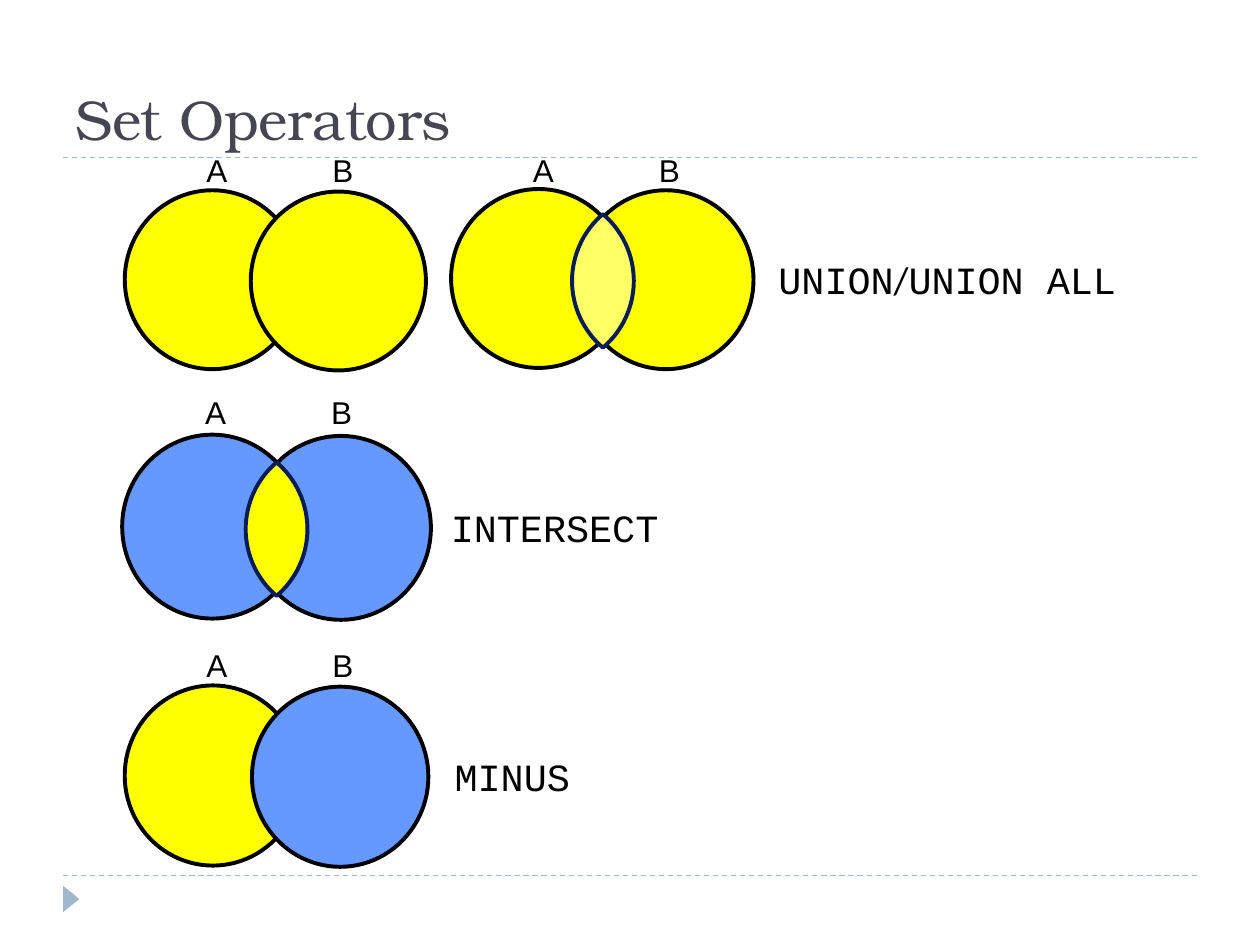
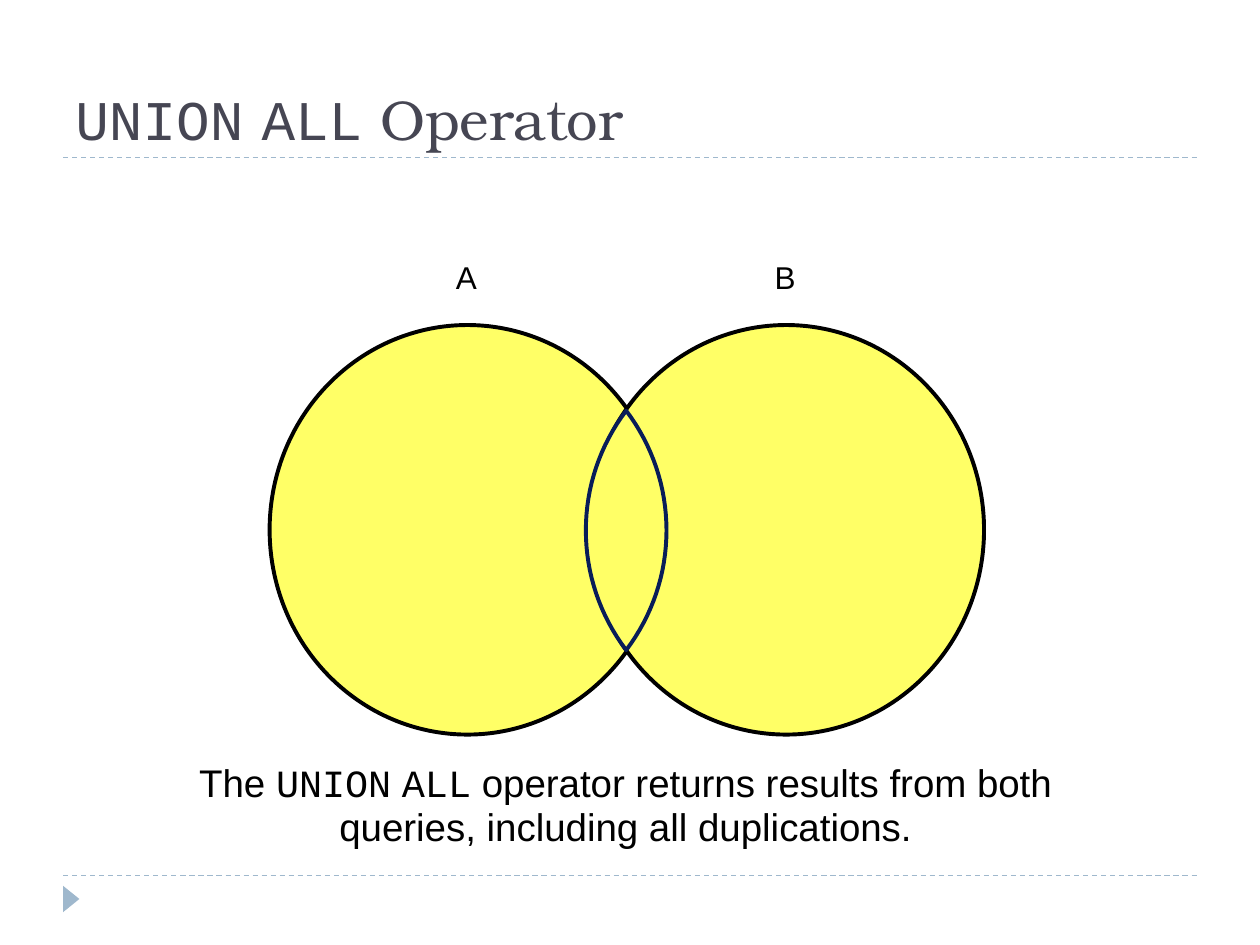
from math import asin, cos, hypot, sin

from lxml.etree import SubElement
from pptx import Presentation
from pptx.dml.color import RGBColor
from pptx.enum.dml import MSO_LINE_DASH_STYLE as Dash
from pptx.enum.shapes import MSO_CONNECTOR as Link, MSO_SHAPE as Shape
from pptx.enum.text import MSO_ANCHOR as Anchor, PP_ALIGN as Align
from pptx.oxml.ns import qn
from pptx.util import Pt

PX = 9144
SERIF, SANS, MONO, SLIM = "TeX Gyre Bonum", "Arial", "Courier New", "Calibri"
BLACK, INK, STEEL, NAVY = "000000", "464653", "9FB8CD", "081D58"
YELLOW, PALE, BLUE = "FFFF00", "FFFF66", "6699FF"


def color(code):
    return RGBColor.from_string(code)


class Deck:
    """Holds the shared style and the current slide; lengths are 1/100 inch px."""

    def __init__(self):
        self.prs = Presentation()
        self.prs.slide_width, self.prs.slide_height = 1000 * PX, 750 * PX
        self.shapes = None

    def slide(self, *title):
        self.shapes = self.prs.slides.add_slide(self.prs.slide_layouts[6]).shapes
        for y in (695, 125):
            self.rule(y)
        mark = self.shape(Shape.ISOSCELES_TRIANGLE, (46, 707, 21, 13), STEEL)
        mark.rotation = 90
        self.text((50, 25, 900, 100), title, 32, INK, anchor=Anchor.BOTTOM)

    def rule(self, y):
        line = self.shapes.add_connector(Link.STRAIGHT, 50 * PX, y * PX, 950 * PX, y * PX)
        line.line.color.rgb = color(STEEL)
        line.line.width = Pt(0.75)
        line.line.dash_style = Dash.DASH
        SubElement(line._element.spPr, qn("a:effectLst"))

    def paint(self, shape, fill, edge=None):
        shape.shadow.inherit = False
        shape.fill.solid()
        shape.fill.fore_color.rgb = color(fill)
        if edge:
            shape.line.color.rgb = color(edge)
            shape.line.width = Pt(2.25)
        else:
            shape.line.fill.background()
        return shape

    def shape(self, kind, box, fill, edge=None):
        return self.paint(self.shapes.add_shape(kind, *(n * PX for n in box)), fill, edge)

    def text(self, box, runs, size, ink=BLACK, anchor=Anchor.TOP, align=Align.LEFT, space=1.0):
        frame = self.shapes.add_textbox(*(n * PX for n in box)).text_frame
        frame.word_wrap = True
        frame.vertical_anchor = anchor
        para = frame.paragraphs[0]
        para.alignment = align
        para.line_spacing = space
        for words, face in runs:
            run = para.add_run()
            run.text = words
            run.font.name = face
            run.font.size = Pt(size)
            run.font.color.rgb = color(ink)

    def venn(self, box, shift, fills, tag, step):
        x, y, w, h = box
        right, down = shift
        for i, fill in enumerate(fills):
            self.shape(Shape.OVAL, (x + i * right, y + i * down, w, h), fill, BLACK)
        for i, name in enumerate("AB"):
            self.text((tag[0] + i * step, tag[1], 38, 40), [(name, SANS)], 18)

    def lens(self, box, fill, parts=32):
        x, y, w, h = box
        a, b = w / 2, h / 2
        radius = hypot(a, b) ** 2 / w
        half = asin(b / radius)
        turns = [half * (2 * i / parts - 1) for i in range(parts)]
        arc = [(radius * cos(t) - radius + a, radius * sin(t)) for t in turns]
        dots = [(round((x + a + s * dx) * PX), round((y + b + s * dy) * PX))
                for s in (1, -1) for dx, dy in arc]
        path = self.shapes.build_freeform(*dots[0])
        path.add_line_segments(dots[1:], close=True)
        self.paint(path.convert_to_shape(), fill, NAVY)


def main():
    deck = Deck()

    deck.slide(("Set Operators", SERIF))
    for box, right, fills, tag in (
        ((99, 151, 139, 142), 100, (YELLOW, YELLOW), (154, 115)),
        ((358, 150, 139, 142), 101, (YELLOW, YELLOW), (413, 115)),
        ((97, 345, 143, 146), 102, (BLUE, BLUE), (153, 307)),
        ((99, 544, 140, 143), 101, (YELLOW, BLUE), (154, 508)),
    ):
        deck.venn(box, (right, 1), fills, tag, 100)
    deck.lens((454, 170, 49, 106), PALE)
    deck.lens((195, 367, 49, 106), YELLOW)
    for box, runs in (
        ((608, 198, 370, 47), [("UNION", MONO), ("/", SLIM), ("UNION ALL", MONO)]),
        ((348, 395, 190, 47), [("INTERSECT", MONO)]),
        ((351, 593, 115, 47), [("MINUS", MONO)]),
    ):
        deck.text(box, runs, 22)

    deck.slide(("UNION", MONO), (" ", SERIF), ("ALL", MONO), (" Operator", SERIF))
    deck.venn((214, 258, 314, 325), (253, 0), (PALE, PALE), (352, 200), 253)
    note = [("The ", SANS), ("UNION", MONO), (" ", SANS), ("ALL", MONO),
            (" operator returns results from both queries, including all duplications.", SANS)]
    deck.text((99, 600, 795, 80), note, 22, align=Align.CENTER, space=0.95)
    deck.lens((465, 326, 64, 190), PALE)

    deck.prs.save("out.pptx")


if __name__ == "__main__":
    main()
